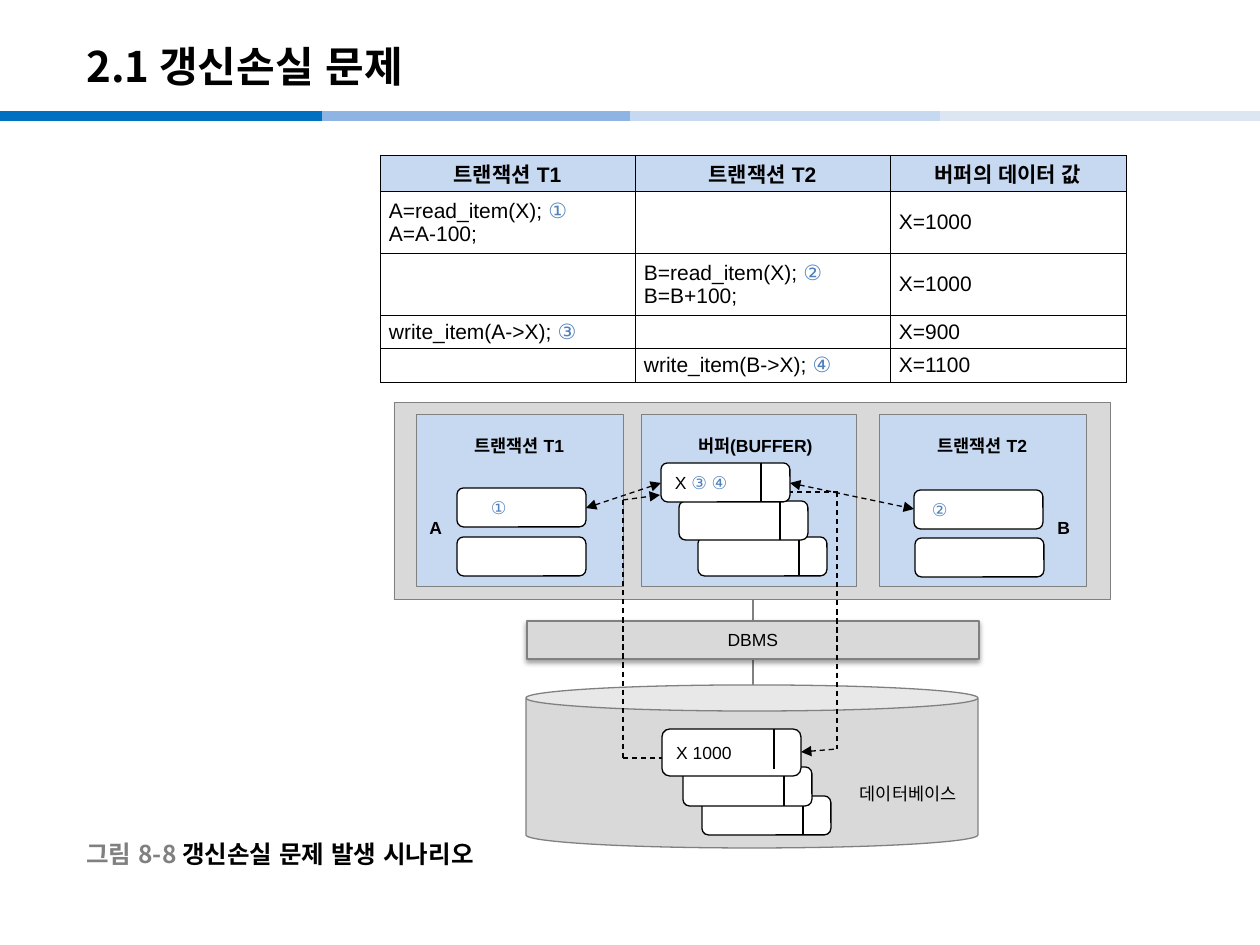
from dataclasses import dataclass
from typing import Any, Optional

from lxml.etree import SubElement as Sub
from pptx import Presentation
from pptx.dml.color import RGBColor as Rgb
from pptx.enum.dml import MSO_LINE as Dash
from pptx.enum.lang import MSO_LANGUAGE_ID as Lang
from pptx.enum.shapes import MSO_CONNECTOR as Conn, MSO_SHAPE as Kind
from pptx.enum.text import MSO_ANCHOR as Anchor, PP_ALIGN as Align
from pptx.oxml.ns import qn
from pptx.util import Emu, Pt

SCALE = 914400 / 126
BLACK = Rgb(0x00, 0x00, 0x00)
WHITE = Rgb(0xFF, 0xFF, 0xFF)
GRAY = Rgb(0x80, 0x80, 0x80)
SILVER = Rgb(0xD9, 0xD9, 0xD9)
SKY = Rgb(0xC6, 0xD9, 0xF1)
MARK = Rgb(0x4F, 0x81, 0xBD)
BANDS = (Rgb(0x00, 0x70, 0xC0), Rgb(0x8E, 0xB4, 0xE3), SKY, Rgb(0xDC, 0xE6, 0xF2))
NOTO = "Noto Sans CJK KR"


@dataclass(frozen=True)
class Run:
    text: str
    color: Rgb = BLACK
    bold: bool = False
    size: int = 10
    font: str = "Arial"


@dataclass(frozen=True)
class Box:
    x: int
    y: int
    w: int
    h: int
    fill: Rgb = WHITE
    edge: Rgb = BLACK
    thick: float = 0.75
    kind: Kind = Kind.ROUNDED_RECTANGLE
    runs: tuple[Run, ...] = ()
    align: Align = Align.LEFT
    left: int = 12
    top: Optional[int] = None
    cut: int = 0


@dataclass(frozen=True)
class Line:
    x1: int
    y1: int
    x2: int
    y2: int
    head: bool = False
    tail: bool = False


@dataclass(frozen=True)
class Label:
    x: int
    y: int
    w: int
    h: int
    runs: tuple[Run, ...]
    align: Align = Align.LEFT


def px(*vals: int) -> list[Emu]:
    return [Emu(round(v * SCALE)) for v in vals]


def write(para: Any, runs: tuple[Run, ...], align: Align) -> None:
    para.alignment = align
    for item in runs:
        run = para.add_run()
        run.text = item.text
        font = run.font
        font.name, font.size, font.bold = item.font, Pt(item.size), item.bold
        font.color.rgb = item.color
        font.language_id = Lang.KOREAN
        if item.font == NOTO:
            Sub(run._r.get_or_add_rPr(), qn("a:ea"), typeface=NOTO)


def draw_line(tree: Any, line: Line, color: Rgb = BLACK, thick: float = 0.75,
              dash: bool = False) -> None:
    conn = tree.add_connector(Conn.STRAIGHT, *px(line.x1, line.y1, line.x2, line.y2))
    conn.line.color.rgb, conn.line.width = color, Pt(thick)
    if dash:
        conn.line.dash_style = Dash.DASH
    for tag, on in (("a:headEnd", line.head), ("a:tailEnd", line.tail)):
        if on:
            Sub(conn.line._get_or_add_ln(), qn(tag), type="triangle")
    Sub(conn._element.spPr, qn("a:effectLst"))


def draw_box(tree: Any, box: Box) -> Any:
    if box.cut:
        tree = tree.add_group_shape().shapes
    shape = tree.add_shape(box.kind, *px(box.x, box.y, box.w, box.h))
    shape.shadow.inherit = False
    shape.fill.solid()
    shape.fill.fore_color.rgb = box.fill
    shape.line.color.rgb, shape.line.width = box.edge, Pt(box.thick)
    if box.runs:
        frame = shape.text_frame
        frame.word_wrap = True
        frame.margin_left = px(box.left)[0]
        frame.vertical_anchor = Anchor.MIDDLE
        if box.top is not None:
            frame.vertical_anchor = Anchor.TOP
            frame.margin_top = px(box.top)[0]
        write(frame.paragraphs[0], box.runs, box.align)
    if box.cut:
        x = box.x + box.cut
        draw_line(tree, Line(x, box.y, x, box.y + min(box.h, 40)))
    return shape


def draw_label(tree: Any, label: Label) -> None:
    frame = tree.add_textbox(*px(label.x, label.y, label.w, label.h)).text_frame
    frame.word_wrap = False
    frame.vertical_anchor = Anchor.MIDDLE
    write(frame.paragraphs[0], label.runs, label.align)


def cast(shape: Any) -> None:
    fx = shape._element.spPr.find(qn("a:effectLst"))
    shade = Sub(fx, qn("a:outerShdw"), blurRad="39370", dist="20320",
                dir="5400000", rotWithShape="0")
    Sub(Sub(shade, qn("a:srgbClr"), val="000000"), qn("a:alpha"), val="38000")


def fill_cell(cell: Any, paras: tuple, head: bool) -> None:
    cell.vertical_anchor = Anchor.MIDDLE
    cell.margin_left, cell.margin_right = px(9, 9)
    cell.margin_top, cell.margin_bottom = px(3, 3)
    props = cell._tc.get_or_add_tcPr()
    for side in "LRTB":
        edge = Sub(props, qn("a:ln" + side), w="3600")
        Sub(Sub(edge, qn("a:solidFill")), qn("a:srgbClr"), val="000000")
    if head:
        cell.fill.solid()
        cell.fill.fore_color.rgb = SKY
    else:
        cell.fill.background()
    frame = cell.text_frame
    for i, runs in enumerate(paras):
        para = frame.add_paragraph() if i else frame.paragraphs[0]
        write(para, runs, Align.CENTER if head else Align.JUSTIFY)
    if not paras:
        Sub(frame.paragraphs[0]._p, qn("a:endParaRPr"), sz="1200")


def draw_table(tree: Any, rows: tuple) -> None:
    wide, high = (255, 255, 236), (34, 62, 62, 33, 34)
    table = tree.add_table(len(high), len(wide),
                           *px(380, 155, sum(wide), sum(high))).table
    table.first_row = table.horz_banding = False
    for col, w in zip(table.columns, px(*wide)):
        col.width = w
    for row, h in zip(table.rows, px(*high)):
        row.height = h
    for r, row in enumerate(rows):
        for c, paras in enumerate(row):
            fill_cell(table.cell(r, c), paras, r == 0)


def step(code: str, mark: str, *more: str) -> tuple:
    first = (Run(code + " ", size=12), Run(mark, MARK, size=12))
    return (first, *((Run(text, size=12),) for text in more))


def value(text: str, bold: bool = False) -> tuple:
    return ((Run(text, bold=bold, size=12),),)


def panel(x: int, w: int, text: str, left: int = 12) -> Box:
    return Box(x, 414, w, 173, SKY, GRAY, 0.5, Kind.RECTANGLE,
               (Run(text, bold=True),), Align.CENTER, left, 21)


def slot(x: int, y: int, runs: tuple[Run, ...] = (), left: int = 12, cut: int = 0) -> Box:
    return Box(x, y, 129, 39, runs=runs, left=left, cut=cut)


ROWS = (
    tuple(value(t, True) for t in ("트랜잭션 T1", "트랜잭션 T2", "버퍼의 데이터 값")),
    (step("A=read_item(X);", "①", "A=A-100;"), (), value("X=1000")),
    ((), step("B=read_item(X);", "②", "B=B+100;"), value("X=1000")),
    (step("write_item(A->X);", "③"), (), value("X=900")),
    ((), step("write_item(B->X);", "④"), value("X=1100")),
)
BOXES = (
    Box(394, 402, 717, 198, SILVER, GRAY, 0.5, Kind.RECTANGLE),
    panel(416, 207, "트랜잭션 T1"), panel(641, 216, "버퍼(BUFFER)", 25),
    panel(879, 207, "트랜잭션 T2"),
    slot(698, 537, cut=101), slot(679, 501, cut=101),
    slot(702, 796, cut=101), slot(683, 767, cut=101),
    slot(457, 488, (Run("①", MARK),), 32), slot(457, 537),
    slot(914, 490, (Run("②", MARK),), 16), slot(915, 538),
)
PATHS = (
    Line(586, 508, 661, 483, True, True), Line(790, 483, 914, 509, True, True),
    Line(623, 500, 660, 495, tail=True), Line(623, 500, 623, 758),
    Line(623, 758, 662, 758), Line(752, 492, 838, 492),
    Line(837, 492, 837, 749), Line(801, 752, 837, 749, head=True),
)
FRONT = (
    Box(662, 729, 139, 47, runs=(Run("X 1000"),), cut=112),
    slot(661, 463, (Run("X "), Run("③ ④", MARK)), cut=100),
)
LABELS = (
    Label(74, 28, 1042, 76, (Run("2.1 갱신손실 문제", BLACK, True, 24, NOTO),)),
    Label(842, 776, 132, 34, (Run("데이터베이스"),), Align.CENTER),
    Label(1045, 510, 36, 34, (Run("B", bold=True),)),
    Label(417, 510, 38, 34, (Run("A", bold=True),)),
    Label(74, 834, 425, 39, (Run("그림 8-8 ", GRAY, True, 14, NOTO),
                             Run("갱신손실 문제 발생 시나리오", BLACK, True, 14, NOTO))),
)


def main() -> None:
    deck = Presentation()
    deck.slide_width, deck.slide_height = px(1260, 945)
    tree = deck.slides.add_slide(deck.slide_layouts[6]).shapes
    for x, color in zip((0, 322, 630, 940), BANDS):
        draw_line(tree, Line(x, 116, min(x + 322, 1260), 116), color, 6)
    draw_line(tree, Line(753, 600, 753, 685), GRAY, 1)
    cast(draw_box(tree, Box(527, 621, 452, 38, SILVER, GRAY, kind=Kind.RECTANGLE,
                            runs=(Run("DBMS"),), align=Align.CENTER)))
    store = draw_box(tree, Box(526, 685, 452, 163, SILVER, GRAY, kind=Kind.CAN))
    store.adjustments[0] = 0.16
    for box in BOXES:
        draw_box(tree, box)
    draw_table(tree, ROWS)
    for line in PATHS:
        draw_line(tree, line, dash=True)
    for box in FRONT:
        draw_box(tree, box)
    for label in LABELS:
        draw_label(tree, label)
    deck.save("out.pptx")


if __name__ == "__main__":
    main()
